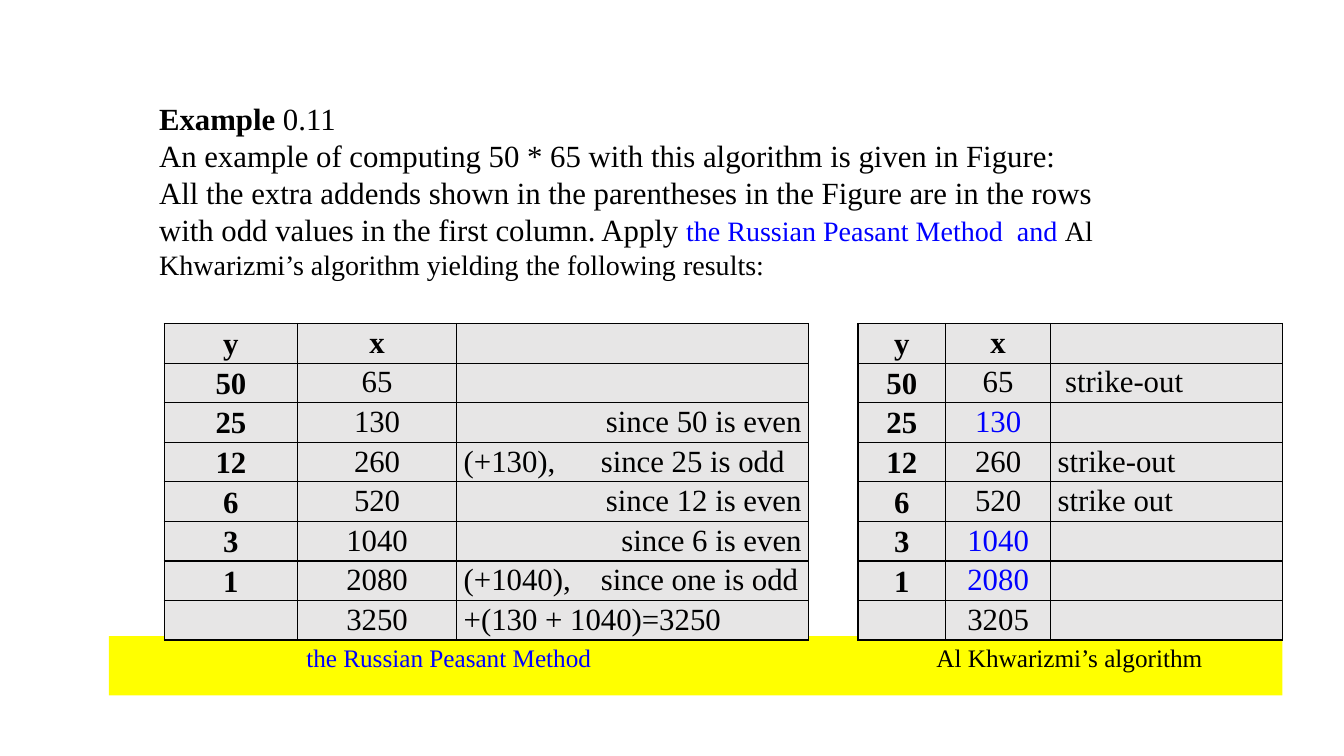
from lxml.etree import SubElement
from pptx import Presentation
from pptx.dml.color import RGBColor
from pptx.enum.shapes import MSO_SHAPE
from pptx.enum.text import MSO_ANCHOR, PP_ALIGN
from pptx.oxml.ns import qn
from pptx.util import Inches, Pt

COLORS = {"black": "000000", "blue": "0000FF", "yellow": "FFFF00", "gray": "E7E6E6"}
FONT = "Times New Roman"


class SlideBuilder:
    def __init__(self, slide):
        self.slide = slide

    def color(self, name):
        return RGBColor.from_string(COLORS[name])

    def style(self, span, size=22, color="black", bold=False):
        span.font.name = FONT
        span.font.size = Pt(size)
        span.font.bold = bold
        span.font.color.rgb = self.color(color)

    def tab_stop(self, para, position):
        tabs = SubElement(para._p.get_or_add_pPr(), qn("a:tabLst"))
        SubElement(tabs, qn("a:tab"), pos=str(Inches(position)), algn="l")

    def band(self, left, top, width, height, color):
        shape = self.slide.shapes.add_shape(
            MSO_SHAPE.RECTANGLE, Inches(left), Inches(top), Inches(width), Inches(height))
        shape.shadow.inherit = False
        shape.fill.solid()
        shape.fill.fore_color.rgb = self.color(color)
        shape.line.fill.background()

    def text(self, left, top, width, height, paragraphs, anchor=MSO_ANCHOR.TOP, tab=None):
        box = self.slide.shapes.add_textbox(
            Inches(left), Inches(top), Inches(width), Inches(height))
        frame = box.text_frame
        frame.word_wrap = True
        frame.vertical_anchor = anchor
        for index, spans in enumerate(paragraphs):
            para = frame.paragraphs[0] if index == 0 else frame.add_paragraph()
            if tab:
                self.tab_stop(para, tab)
            for words, look in spans:
                span = para.add_run()
                span.text = words
                self.style(span, **look)

    def borders(self, cell):
        properties = cell._tc.get_or_add_tcPr()
        for side in ("lnL", "lnR", "lnT", "lnB"):
            line = SubElement(properties, qn(f"a:{side}"), w=str(Pt(1)))
            fill = SubElement(line, qn("a:solidFill"))
            SubElement(fill, qn("a:srgbClr"), val=COLORS["black"])

    def cell(self, cell, words, align, bold, color):
        self.borders(cell)
        cell.fill.solid()
        cell.fill.fore_color.rgb = self.color("gray")
        cell.margin_left = cell.margin_right = Inches(0.07)
        cell.margin_top = cell.margin_bottom = 0
        cell.text_frame.text = words
        para = cell.text_frame.paragraphs[0]
        para.alignment = align
        para.line_spacing = 1.07
        if "\t" in words:
            self.tab_stop(para, 1.36)
        for span in para.runs:
            self.style(span, color=color, bold=bold)

    def table(self, left, top, widths, rows, blue=()):
        row_height = 0.37
        table = self.slide.shapes.add_table(
            len(rows), len(widths), Inches(left), Inches(top),
            Inches(sum(widths)), Inches(row_height * len(rows))).table
        table.first_row = table.horz_banding = False
        for column, width in zip(table.columns, widths):
            column.width = Inches(width)
        for r, row in enumerate(rows):
            table.rows[r].height = Inches(row_height)
            for c, words in enumerate(row):
                align = PP_ALIGN.CENTER
                if c == 2:
                    align = PP_ALIGN.RIGHT if words.startswith("since") else PP_ALIGN.LEFT
                cell = table.cell(r, c)
                self.cell(cell, words, align, bold=r == 0 or c == 0,
                          color="blue" if words in blue else "black")
                if c == 0:
                    cell.vertical_anchor = MSO_ANCHOR.MIDDLE


def main():
    deck = Presentation()
    deck.slide_width, deck.slide_height = Inches(13.33), Inches(7.5)
    page = SlideBuilder(deck.slides.add_slide(deck.slide_layouts[6]))

    # Yellow caption band
    page.band(1.08, 6.31, 11.64, 0.59, "yellow")

    # Introduction
    page.text(1.48, 0.93, 9.63, 1.92, [
        [("Example", {"bold": True}), (" 0.11", {})],
        [("An example of computing 50 * 65 with this algorithm is given in Figure:", {})],
        [("All the extra addends shown in the parentheses in the Figure are in the rows "
          "with odd values in the first column. Apply ", {}),
         ("the Russian Peasant Method  and ", {"size": 20, "color": "blue"}),
         ("Al Khwarizmi’s algorithm yielding the following results:", {"size": 20})],
    ], anchor=MSO_ANCHOR.MIDDLE)

    # Russian Peasant Method table
    page.table(1.63, 3.21, [1.32, 1.58, 3.49], [
        ("y", "x", ""),
        ("50", "65", ""),
        ("25", "130", "since 50 is even"),
        ("12", "260", "(+130),\tsince 25 is odd"),
        ("6", "520", "since 12 is even"),
        ("3", "1040", "since 6 is even"),
        ("1", "2080", "(+1040),\tsince one is odd"),
        ("", "3250", "+(130 + 1040)=3250"),
    ])

    # Al Khwarizmi table
    page.table(8.51, 3.21, [0.87, 1.04, 2.3], [
        ("y", "x", ""),
        ("50", "65", " strike-out"),
        ("25", "130", ""),
        ("12", "260", "strike-out"),
        ("6", "520", "strike out"),
        ("3", "1040", ""),
        ("1", "2080", ""),
        ("", "3205", ""),
    ], blue=("130", "1040", "2080"))

    # Captions under the tables
    page.text(2.94, 6.32, 9.63, 0.4, [
        [("the Russian Peasant Method\t", {"size": 18, "color": "blue"}),
         ("Al Khwarizmi’s algorithm", {"size": 18})],
    ], tab=6.25)

    deck.save("out.pptx")


if __name__ == "__main__":
    main()
